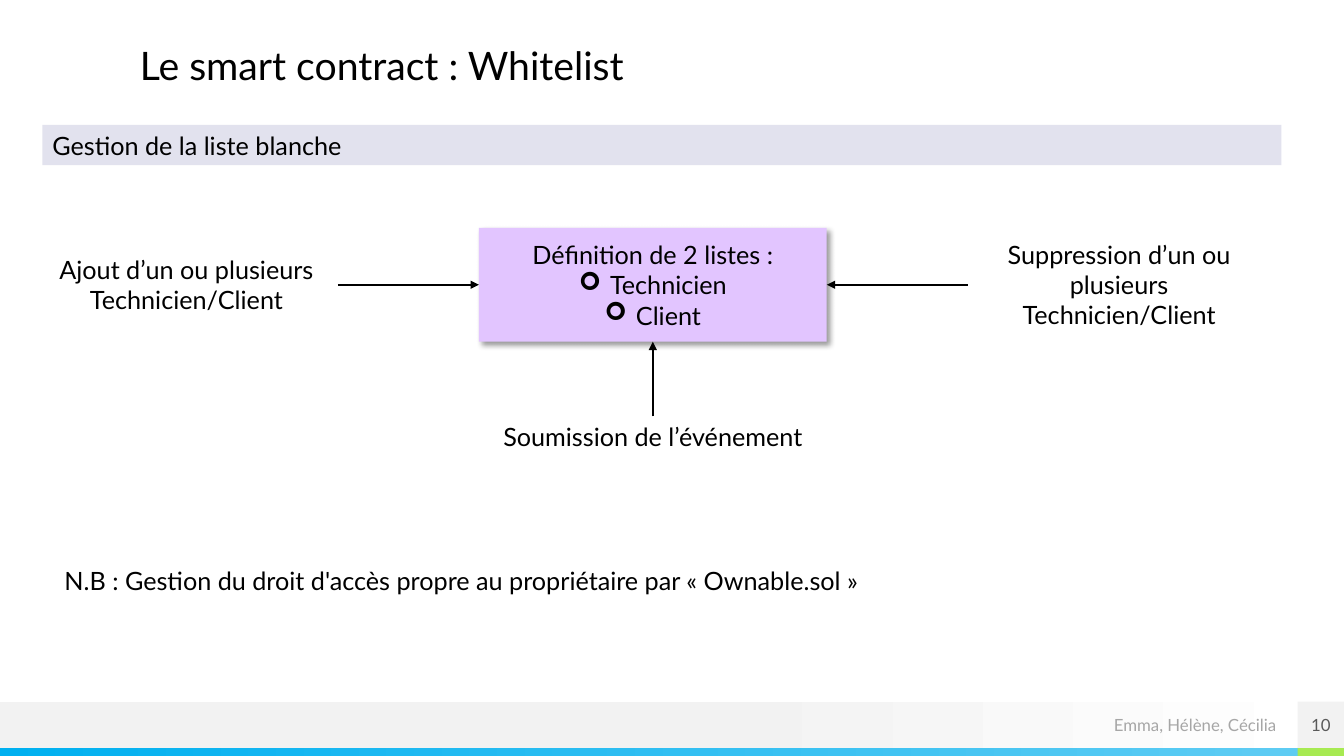
from lxml import etree
from pptx import Presentation
from pptx.dml.color import RGBColor
from pptx.enum.shapes import MSO_CONNECTOR, MSO_SHAPE
from pptx.enum.text import MSO_ANCHOR, PP_ALIGN
from pptx.oxml import parse_xml
from pptx.oxml.ns import nsdecls, qn
from pptx.util import Inches, Pt

RECT, STRAIGHT = MSO_SHAPE.RECTANGLE, MSO_CONNECTOR.STRAIGHT
LEFT, CENTER, RIGHT = PP_ALIGN.LEFT, PP_ALIGN.CENTER, PP_ALIGN.RIGHT
TOP, MIDDLE = MSO_ANCHOR.TOP, MSO_ANCHOR.MIDDLE
SIDE_TOP, SIDE_LEFT, SIDE_BOTTOM, SIDE_RIGHT = range(4)

TITLE = "Le smart contract : Whitelist"
SECTION = "Gestion de la liste blanche"
LISTS_HEAD = "Définition de 2 listes :"
LISTS = ["Technicien", "Client"]
ADD = "Ajout d’un ou plusieurs Technicien/Client"
REMOVE = "Suppression d’un ou plusieurs Technicien/Client"
SUBMIT = "Soumission de l’événement"
NOTE = "N.B : Gestion du droit d'accès propre au propriétaire par « Ownable.sol »"
AUTHORS = "Emma, Hélène, Cécilia"
PAGE = "10"

W, H = 13.33, 7.5
BAND, STRIPE = 0.46, 0.08
FONT = "Lato"
BLACK, WHITE, GREY = "000000", "FFFFFF", "F2F2F2"

prs = Presentation()
prs.slide_width, prs.slide_height = Inches(W), Inches(H)
s = prs.slides.add_slide(prs.slide_layouts[6])


def rgb(value):
    return RGBColor.from_string(value)


def rect(x, y, w, h, *stops):
    sp = s.shapes.add_shape(RECT, Inches(x), Inches(y), Inches(w), Inches(h))
    sp.shadow.inherit = False
    sp.line.fill.background()
    if len(stops) == 1:
        sp.fill.solid()
        sp.fill.fore_color.rgb = rgb(stops[0])
    else:
        sp.fill.gradient()
        sp.fill.gradient_angle = 0
        for stop, (position, color) in zip(sp.fill.gradient_stops, stops):
            stop.position = position
            stop.color.rgb = rgb(color)
    return sp


def textbox(x, y, w, h):
    return s.shapes.add_textbox(Inches(x), Inches(y), Inches(w), Inches(h))


def write(sp, lines, size=18, color=BLACK, align=LEFT, anchor=TOP, inset=True):
    tf = sp.text_frame
    tf.word_wrap = True
    tf.vertical_anchor = anchor
    if not inset:
        tf.margin_left = tf.margin_right = tf.margin_top = tf.margin_bottom = 0
    for i, line in enumerate(lines):
        p = tf.add_paragraph() if i else tf.paragraphs[0]
        p.text = line
        p.alignment = align
        p.font.size, p.font.name = Pt(size), FONT
        p.font.color.rgb = rgb(color)
    return sp


def bullet(p):
    pPr = p._p.get_or_add_pPr()
    pPr.set("marL", str(Inches(0.31)))
    pPr.set("indent", str(-Inches(0.31)))
    marks = [f'<a:buFont {nsdecls("a")} typeface="Wingdings"/>',
             f'<a:buChar {nsdecls("a")} char="➢"/>']
    for i, mark in enumerate(marks):
        pPr.insert(i, parse_xml(mark))


def cast_shadow(sp):
    effects = sp._element.spPr.find(qn("a:effectLst"))
    effects.append(parse_xml(
        f'<a:outerShdw {nsdecls("a")} blurRad="{Pt(4)}" dist="{Pt(3)}" dir="2700000" '
        'algn="tl" rotWithShape="0"><a:srgbClr val="000000"><a:alpha val="40000"/>'
        '</a:srgbClr></a:outerShdw>'))


def arrow(source, source_side, target, target_side):
    c = s.shapes.add_connector(STRAIGHT, 0, 0, 0, 0)
    c.begin_connect(source, source_side)
    c.end_connect(target, target_side)
    c.line.color.rgb = rgb(BLACK)
    c.line.width = Pt(1.5)
    etree.SubElement(c.line._get_or_add_ln(), qn("a:tailEnd"), type="triangle")
    etree.SubElement(c._element.spPr, qn("a:effectLst"))


stripe_y = H - STRIPE
band_y = stripe_y - BAND
corner_x = W - BAND
rect(0, band_y, W, BAND, (0.53, GREY), (1, WHITE))
rect(0, stripe_y, corner_x, STRIPE, (0, "00B0F0"), (1, "5ECCF3"))
rect(corner_x, stripe_y, BAND, STRIPE, "A7EA52")
write(textbox(10.42, band_y, 2.24, BAND), [AUTHORS], 12, "A6A6A6", RIGHT, MIDDLE, False)
write(rect(corner_x, band_y, BAND, BAND, GREY), [PAGE], 12, "595959", CENTER, MIDDLE, False)

write(textbox(1.29, 0.36, 8.8, 0.57), [TITLE], 28)
write(rect(0.42, 1.24, 12.29, 0.4, "E2E2EE"), [SECTION])

box_x, box_y, box_w, box_h = 4.75, 2.26, 3.45, 1.13
mid_x, mid_y = box_x + box_w / 2, box_y + box_h / 2
gap, side_w, submit_w = 1.4, 3, 5.38
lists = rect(box_x, box_y, box_w, box_h, "E2C5FF")
write(lists, [LISTS_HEAD, *LISTS], align=CENTER, anchor=MIDDLE)
for p in lists.text_frame.paragraphs[1:]:
    bullet(p)
cast_shadow(lists)

ACTIONS = [
    (ADD, box_x - gap - side_w, mid_y - 0.71 / 2, side_w, 0.71, SIDE_RIGHT, SIDE_LEFT),
    (REMOVE, box_x + box_w + gap, mid_y - 1.01 / 2, side_w, 1.01, SIDE_LEFT, SIDE_RIGHT),
    (SUBMIT, mid_x - submit_w / 2, 4.13, submit_w, 0.4, SIDE_TOP, SIDE_BOTTOM),
]
for text, x, y, w, h, source_side, target_side in ACTIONS:
    action = write(rect(x, y, w, h, WHITE), [text], align=CENTER)
    arrow(action, source_side, lists, target_side)

write(textbox(0.54, 5.56, 11.22, 0.71), [NOTE])

prs.save("out.pptx")
